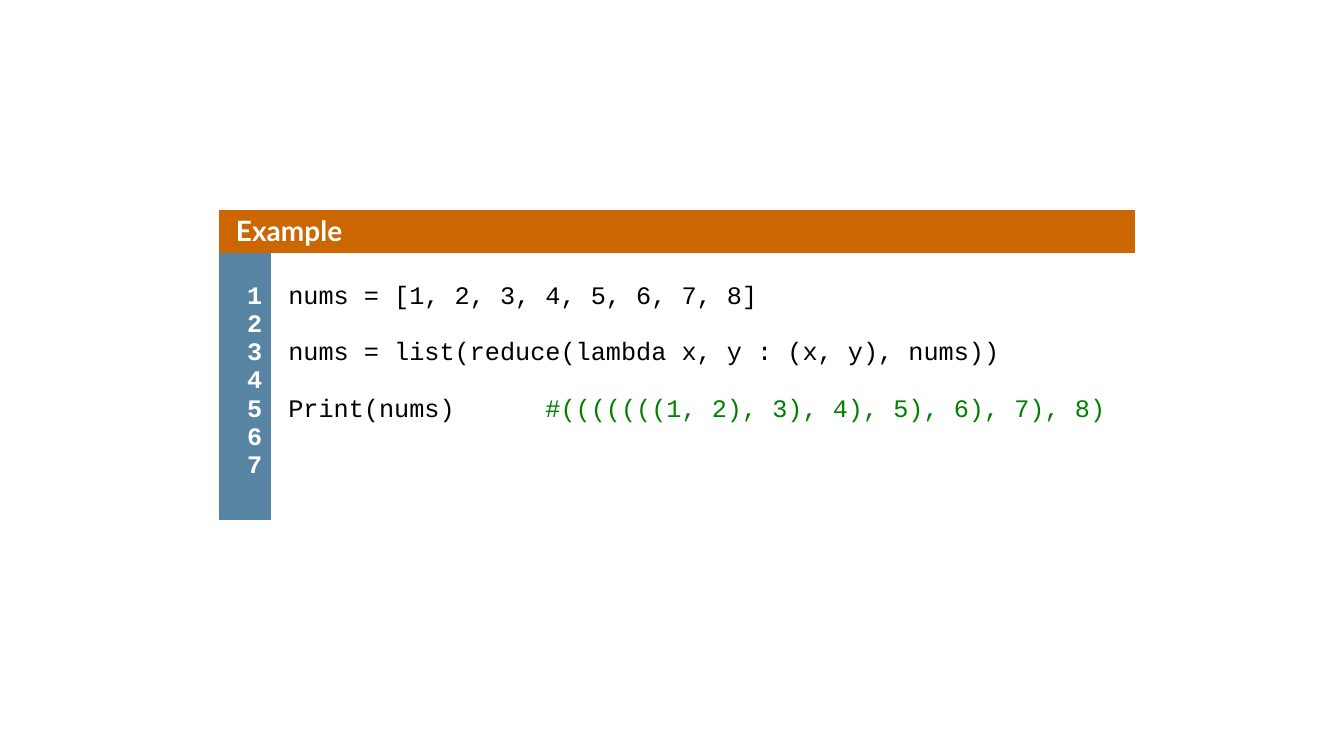
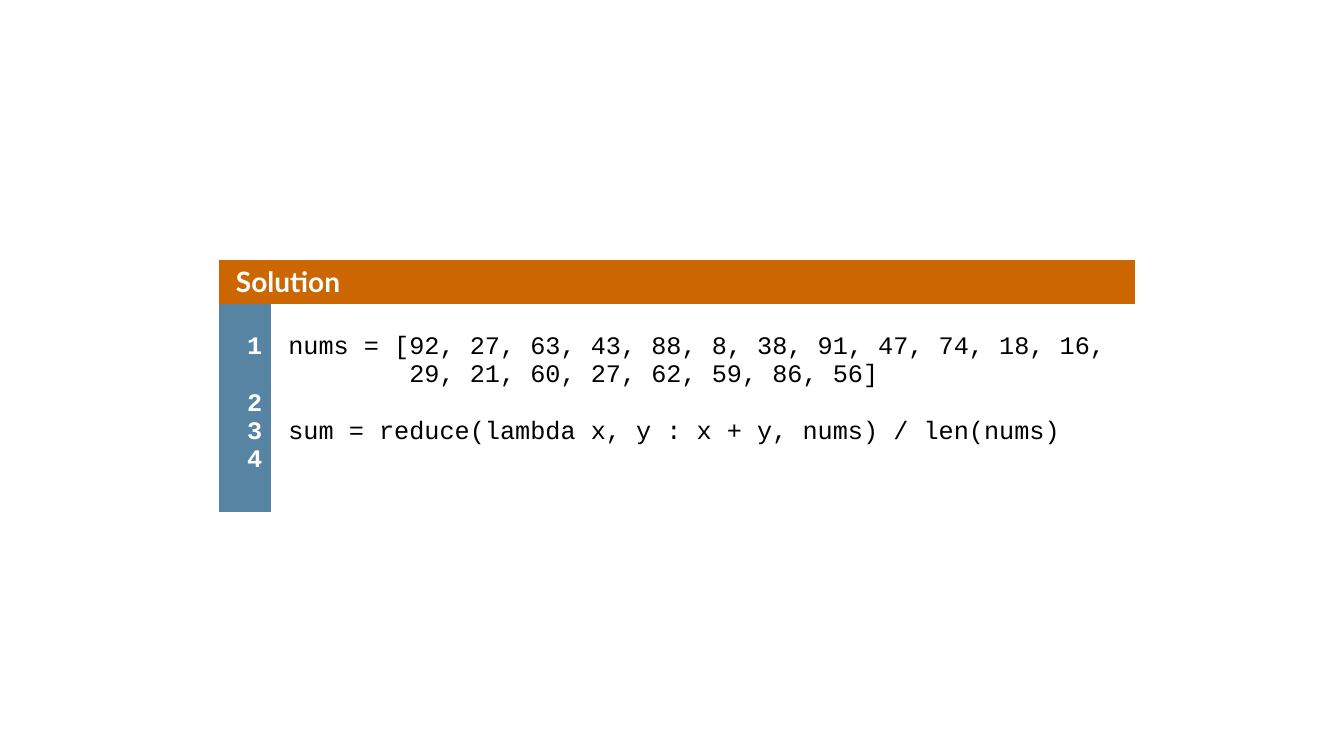
from pptx import Presentation
from pptx.dml.color import RGBColor
from pptx.enum import text
from pptx.oxml.ns import qn
from pptx.util import Inches, Pt

ORANGE, BLUE, WHITE, BLACK, GREEN = "CC6600", "5784A3", "FFFFFF", "000000", "008000"
NO_STYLE_NO_GRID = "{2D5ABB26-0587-4C30-8999-92F81FD0307C}"

TABLE_LEFT = 2.17
NUMBER_WIDTH, CODE_WIDTH = 0.52, 8.57
HEADER_HEIGHT = 0.43
LINE_GAP = 4.5       # points between lines of code
BLANK_LINE = 20.2    # points taken by one empty line

# An empty string is an empty line; a "#" starts a comment.
LISTINGS = [
    {
        "title": "Example", "top": 2.08, "height": 2.65,
        "numbers": ["1", "2", "3", "4", "5", "6", "7"],
        "code": [
            "nums = [1, 2, 3, 4, 5, 6, 7, 8]",
            "",
            "nums = list(reduce(lambda x, y : (x, y), nums))",
            "",
            "Print(nums)      #(((((((1, 2), 3), 4), 5), 6), 7), 8)",
        ],
    },
    {
        "title": "Solution", "top": 2.58, "height": 2.07,
        "numbers": ["1", "", "2", "3", "4"],
        "code": [
            "nums = [92, 27, 63, 43, 88, 8, 38, 91, 47, 74, 18, 16,",
            "        29, 21, 60, 27, 62, 59, 86, 56]",
            "",
            "sum = reduce(lambda x, y : x + y, nums) / len(nums)",
        ],
    },
]


def color(hex_string):
    return RGBColor.from_string(hex_string)


def add_run(paragraph, words, font, size, ink, bold):
    run = paragraph.add_run()
    run.text = words
    run.font.name, run.font.size, run.font.bold = font, Pt(size), bold
    run.font.color.rgb = color(ink)


def fill_cell(cell, lines, fill, margins, font="Courier New", size=18, ink=WHITE,
              bold=False, align=text.PP_ALIGN.LEFT, spacing=0.77):
    """Write lines into a cell, turning empty lines into space before the next one."""
    cell.fill.solid()
    cell.fill.fore_color.rgb = color(fill)
    cell.vertical_anchor = text.MSO_ANCHOR.TOP
    cell.margin_left, cell.margin_top, cell.margin_right, cell.margin_bottom = map(Inches, margins)
    frame = cell.text_frame
    space_before = 0
    for index, line in enumerate(lines):
        if not line:
            space_before += BLANK_LINE
            continue
        paragraph = frame.add_paragraph() if index else frame.paragraphs[0]
        paragraph._p.get_or_add_pPr().set("marL", str(Inches(0.12)))
        paragraph.alignment = align
        paragraph.line_spacing = spacing
        paragraph.space_before = Pt(space_before)
        code, mark, comment = line.partition("#")
        add_run(paragraph, code, font, size, ink, bold)
        if mark:
            add_run(paragraph, mark + comment, font, size, GREEN, bold)
        space_before = LINE_GAP


def add_listing(slide, title, top, height, numbers, code):
    table = slide.shapes.add_table(
        2, 2, Inches(TABLE_LEFT), Inches(top),
        Inches(NUMBER_WIDTH + CODE_WIDTH), Inches(HEADER_HEIGHT + height)).table
    table.first_row = table.horz_banding = False
    table._tbl.tblPr.find(qn("a:tableStyleId")).text = NO_STYLE_NO_GRID
    for column, width in zip(table.columns, (NUMBER_WIDTH, CODE_WIDTH)):
        column.width = Inches(width)
    for row, row_height in zip(table.rows, (HEADER_HEIGHT, height)):
        row.height = Inches(row_height)

    header = table.cell(0, 0)
    header.merge(table.cell(0, 1))
    fill_cell(header, [title], ORANGE, (0.05, 0.06, 0.05, 0.05),
              font="Lato", size=20, bold=True, spacing=0.96)
    fill_cell(table.cell(1, 0), numbers, BLUE, (0.05, 0.33, 0.09, 0.23),
              bold=True, align=text.PP_ALIGN.RIGHT)
    fill_cell(table.cell(1, 1), code, WHITE, (0.05, 0.33, 0.18, 0.23), ink=BLACK)


def main():
    presentation = Presentation()
    presentation.slide_width, presentation.slide_height = Inches(13.33), Inches(7.5)
    blank_layout = presentation.slide_layouts[6]
    for listing in LISTINGS:
        add_listing(presentation.slides.add_slide(blank_layout), **listing)
    presentation.save("out.pptx")


if __name__ == "__main__":
    main()
